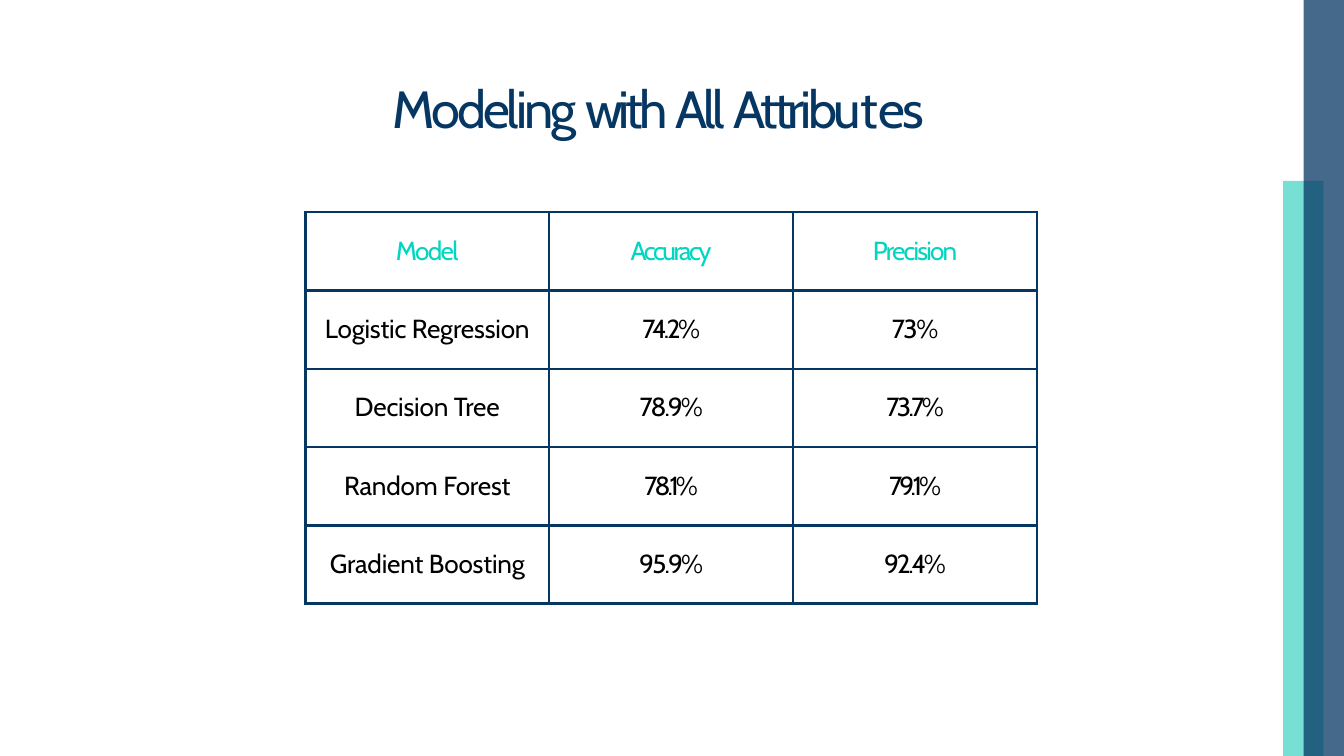
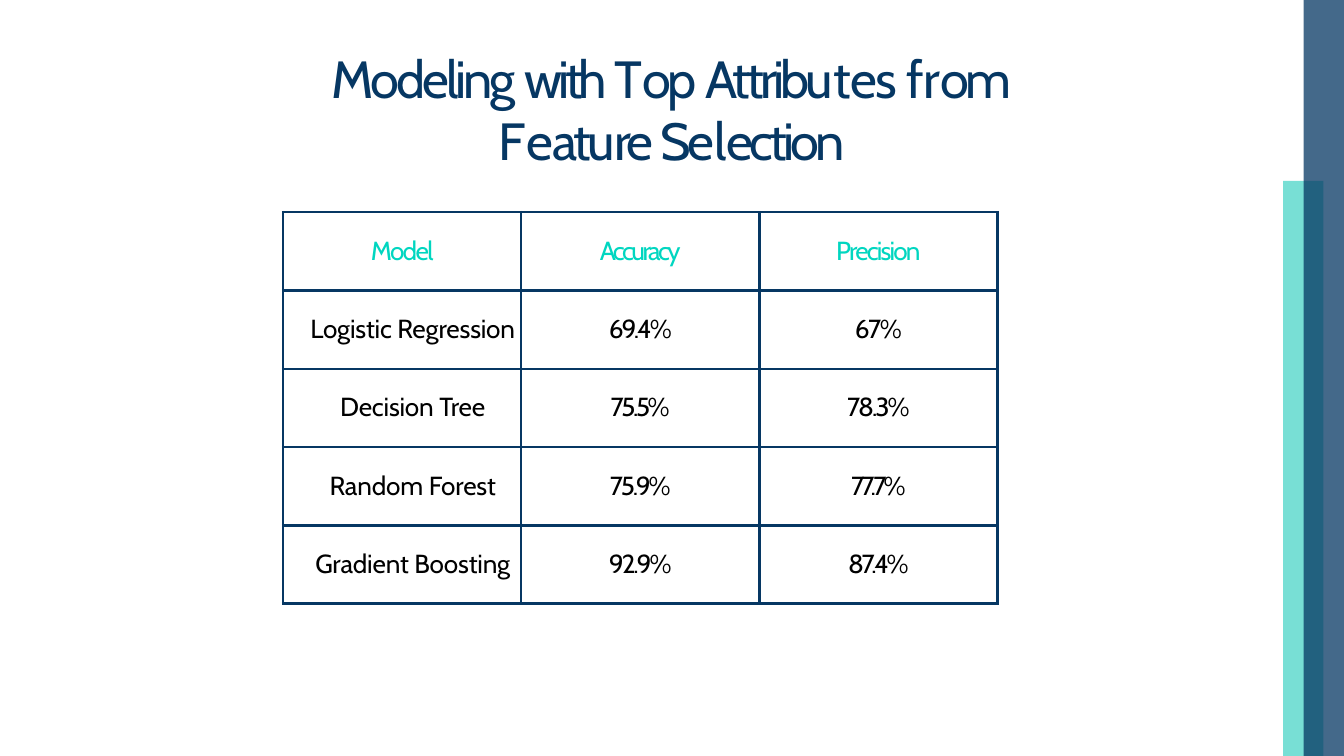
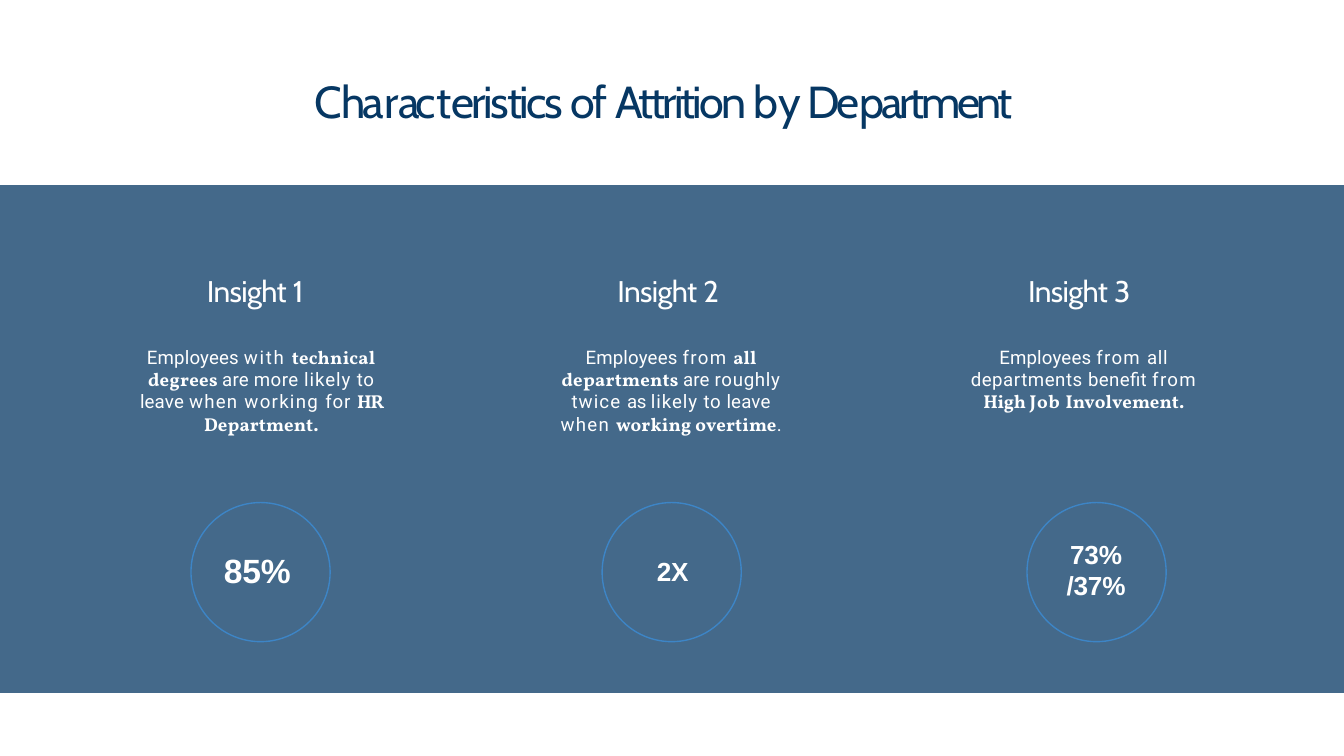
"""Build three slides on attrition models and insights by department."""
from dataclasses import dataclass
from typing import NamedTuple

import pptx
import pptx.dml.color
import pptx.enum.shapes
import pptx.enum.text
import pptx.oxml
import pptx.oxml.ns
import pptx.shapes.autoshape
import pptx.slide
import pptx.table
import pptx.text.text
import pptx.util

Cm = pptx.util.Cm
RGBColor = pptx.dml.color.RGBColor
Align = pptx.enum.text.PP_ALIGN
ShapeType = pptx.enum.shapes.MSO_SHAPE
qn = pptx.oxml.ns.qn

NAVY = RGBColor(0x06, 0x37, 0x63)
TEAL = RGBColor(0x00, 0xC3, 0xB1)
HEADER_TEAL = RGBColor(0x00, 0xD6, 0xC0)
RING_BLUE = RGBColor(0x3D, 0x85, 0xC6)
WHITE = RGBColor(0xFF, 0xFF, 0xFF)
BLACK = RGBColor(0x00, 0x00, 0x00)

SLIDE_WIDTH, SLIDE_HEIGHT = 25.4, 14.29
BORDER_POINTS = 1.5
ROW_HEIGHT = 1.48
TABLE_TOP = 4.01
LABEL_LEFT, LABEL_PITCH = 3.91, 7.76
RING_SIZE = 2.63


class Style(NamedTuple):
    """Font, size, colour and weight of a run."""
    font: str
    size: float
    color: RGBColor
    bold: bool = False


class Piece(NamedTuple):
    """Text of one run with its letter spacing in points."""
    text: str
    spacing: float = 0
    style: Style | None = None


class Box(NamedTuple):
    """Left, top, width and height in centimetres."""
    left: float
    top: float
    width: float
    height: float


class Score(NamedTuple):
    """Value of a table cell with its letter spacing."""
    text: str
    spacing: float


@dataclass(frozen=True)
class Title:
    """Slide title, with an optional hanging indent."""
    box: Box
    size: float
    pieces: list[Piece]
    hanging: float = 0


@dataclass(frozen=True)
class ModelTable:
    """Scores of the models, one row for each model."""
    left: float
    column_width: float
    name_margin: float
    scores: list[tuple[Score, Score]]


@dataclass(frozen=True)
class Insight:
    """Numbered insight with its description and ringed figure."""
    number: Piece
    description_box: Box
    description: list[Piece]
    ring_left: float
    figure_box: Box
    figure_size: float
    figure_lines: list[str]
    line_spacing: float | None = None


BODY = Style("Roboto", 10, WHITE)
STRONG = Style("Vollkorn", 10, WHITE, True)
LABEL = Style("Cabin", 16, WHITE)
HEADER = Style("Cabin", 14, HEADER_TEAL)
CELL = Style("Cabin", 14, BLACK)

HEADERS = [Score("Model", -0.9), Score("Accuracy", -1.4), Score("Precision", -1)]
MODELS = ["Logistic Regression", "Decision Tree", "Random Forest", "Gradient Boosting"]

ALL_ATTRIBUTES_TITLE = Title(Box(7.42, 1.42, 10.54, 1.24), 28, [
    Piece("Modeling ", -1.6), Piece("with ", -2.2), Piece("All ", -1.8),
    Piece("Attribu", -2), Piece("t", -2.3), Piece("es", -1.2),
])
TOP_ATTRIBUTES_TITLE = Title(Box(6.27, 0.84, 12.88, 2.44), 28, [
    Piece("Modeling ", -1.6), Piece("with ", -2.2), Piece("T", -5.5), Piece("op ", -1.6),
    Piece("Attribu", -2), Piece("t", -2.3), Piece("es ", -1.2),
    Piece("f", -1.8), Piece("r", -2.6), Piece("om", -1.8), Piece(" ", 3),
    Piece("F", -4.5), Piece("e", -2.5), Piece("atu", -2.1), Piece("re ", -2.4),
    Piece("Se", -1.6), Piece("l", -1.1), Piece("ection", -2),
], hanging=3.16)
DEPARTMENT_TITLE = Title(Box(5.94, 1.37, 13.54, 1.09), 24, [
    Piece("C", -3.2), Piece("ha", -1.8), Piece("r", -1.9), Piece("ac", -2.2),
    Piece("t", -2.1), Piece("eristics ", -1.3), Piece("of ", -1.4),
    Piece("Attrition ", -1.6), Piece("b", -1.7), Piece("y ", -1.5),
    Piece("De", -1.8), Piece("partment", -1.9),
])

ALL_ATTRIBUTES_TABLE = ModelTable(5.77, 4.61, 0, [
    (Score("74.2%", -1.3), Score("73%", -0.8)),
    (Score("78.9%", -1.1), Score("73.7%", -1.4)),
    (Score("78.1%", -1.6), Score("79.1%", -1.6)),
    (Score("95.9%", -1), Score("92.4%", -1.2)),
])
TOP_ATTRIBUTES_TABLE = ModelTable(5.35, 4.5, 0.4, [
    (Score("69.4%", -1.1), Score("67%", -0.7)),
    (Score("75.5%", -1.3), Score("78.3%", -1.1)),
    (Score("75.9%", -1.2), Score("77.7%", -1.5)),
    (Score("92.9%", -1.1), Score("87.4%", -1.3)),
])

INSIGHTS = [
    Insight(
        Piece("1", -1.9), Box(2.64, 6.5, 4.6, 1.75), [
            Piece("Employees ", 0.1), Piece("with ", 0.9),
            Piece("technical degrees ", 0.2, STRONG), Piece("are ", 0.1),
            Piece("more ", 0.3), Piece("likely ", 0.5), Piece("to ", 0.3),
            Piece("leave ", 0.1), Piece("when working ", 0.7), Piece("for ", 0.5),
            Piece("HR ", -0.5, STRONG), Piece("Department.", 0.1, STRONG),
        ], 3.61, Box(4.19, 10.36, 1.35, 0.84), 18, ["85%"]),
    Insight(
        Piece("2", -1.1), Box(10.59, 6.5, 4.19, 1.75), [
            Piece("Employees ", 0.1), Piece("from ", 0.7), Piece("all ", 0.1, STRONG),
            Piece("departments ", 0.2, STRONG), Piece("are ", 0.1),
            Piece("roughly", 0.4), Piece(" ", 3.3), Piece("twice ", 0.6),
            Piece("as ", -0.1), Piece("likely ", 0.5), Piece("to ", 0.3),
            Piece("leave", 0.1), Piece(" ", 3), Piece("when ", 0.7),
            Piece("working overtime", 0.1, STRONG), Piece(".", 0.1),
        ], 11.38, Box(12.37, 10.46, 0.69, 0.66), 14, ["2X"]),
    Insight(
        Piece("3", -1), Box(18.34, 6.5, 4.29, 1.35), [
            Piece("Employees ", 0.1), Piece("from ", 0.7), Piece("all ", 0.4),
            Piece("departments ", 0.3), Piece("beneﬁt ", 0.2),
            Piece("from", 0.7), Piece(" ", 3.6), Piece("High ", -0.1, STRONG),
            Piece("Job ", 0.5, STRONG), Piece("Involvement.", 0.1, STRONG),
        ], 19.41, Box(20.12, 10.16, 1.19, 1.24), 14, ["73%", "/37%"], 16.6),
]


def add_pieces(paragraph: pptx.text.text._Paragraph, pieces: list[Piece], style: Style) -> None:
    """Add the runs of a paragraph, in the given style unless a piece has its own."""
    for piece in pieces:
        run = paragraph.add_run()
        run.text = piece.text
        run_style = piece.style or style
        run.font.name = run_style.font
        run.font.size = pptx.util.Pt(run_style.size)
        run.font.bold = run_style.bold
        run.font.color.rgb = run_style.color
        run._r.get_or_add_rPr().set("spc", str(round(piece.spacing * 100)))


def add_text(slide: pptx.slide.Slide, box: Box, lines: list[list[Piece]], style: Style,
             alignment: Align = Align.LEFT,
             line_spacing: float | None = None) -> pptx.text.text.TextFrame:
    """Add a text box with one paragraph for each line."""
    text_frame = slide.shapes.add_textbox(*map(Cm, box)).text_frame
    text_frame.word_wrap = True
    text_frame.auto_size = pptx.enum.text.MSO_AUTO_SIZE.SHAPE_TO_FIT_TEXT
    text_frame.margin_left = text_frame.margin_right = text_frame.margin_bottom = 0
    text_frame.margin_top = Cm(0.03)
    for index, pieces in enumerate(lines):
        paragraph = text_frame.add_paragraph() if index else text_frame.paragraphs[0]
        paragraph.alignment = alignment
        if line_spacing:
            paragraph.line_spacing = pptx.util.Pt(line_spacing)
        add_pieces(paragraph, pieces, style)
    return text_frame


def add_title(slide: pptx.slide.Slide, title: Title) -> None:
    """Add the slide title."""
    text_frame = add_text(slide, title.box, [title.pieces], Style("Cabin", title.size, NAVY))
    if title.hanging:
        properties = text_frame.paragraphs[0]._p.get_or_add_pPr()
        properties.set("marL", str(Cm(title.hanging)))
        properties.set("indent", str(-Cm(title.hanging)))


def add_band(slide: pptx.slide.Slide, box: Box, color: RGBColor, opacity: int) -> None:
    """Add a translucent rectangle."""
    band = slide.shapes.add_shape(ShapeType.RECTANGLE, *map(Cm, box))
    band.shadow.inherit = False
    band.line.fill.background()
    band.fill.solid()
    band.fill.fore_color.rgb = color
    color_element = band.element.spPr.find(f"{qn('a:solidFill')}/{qn('a:srgbClr')}")
    alpha = color_element.makeelement(qn("a:alpha"), {"val": str(opacity * 1000)})
    color_element.append(alpha)


def add_side_bands(slide: pptx.slide.Slide) -> None:
    """Add the two overlapping bands at the right edge."""
    add_band(slide, Box(24.25, 3.42, 0.76, SLIDE_HEIGHT - 3.42), TEAL, 53)
    add_band(slide, Box(24.64, 0, 0.76, SLIDE_HEIGHT), NAVY, 75)


def set_borders(cell: pptx.table._Cell) -> None:
    """Draw a navy line on each side of a cell."""
    properties = cell._tc.get_or_add_tcPr()
    width = pptx.util.Pt(BORDER_POINTS)
    namespace = pptx.oxml.ns.nsdecls("a")
    for index, side in enumerate(("lnL", "lnR", "lnT", "lnB")):
        properties.insert(index, pptx.oxml.parse_xml(
            f'<a:{side} {namespace} w="{width}"><a:solidFill>'
            f'<a:srgbClr val="{NAVY}"/></a:solidFill></a:{side}>'))


def add_model_table(slide: pptx.slide.Slide, model_table: ModelTable) -> None:
    """Add the table of model scores."""
    rows = [HEADERS] + [[Score(name, -0.1), *scores]
                        for name, scores in zip(MODELS, model_table.scores)]
    row_count, column_count = len(rows), len(HEADERS)
    table = slide.shapes.add_table(
        row_count, column_count, Cm(model_table.left), Cm(TABLE_TOP),
        Cm(model_table.column_width * column_count), Cm(ROW_HEIGHT * row_count)).table
    table.first_row = table.horz_banding = False
    for column in table.columns:
        column.width = Cm(model_table.column_width)
    for row_index, scores in enumerate(rows):
        table.rows[row_index].height = Cm(ROW_HEIGHT)
        for column_index, score in enumerate(scores):
            cell = table.cell(row_index, column_index)
            is_model_name = row_index > 0 and column_index == 0
            cell.margin_left = Cm(model_table.name_margin if is_model_name else 0)
            cell.margin_right = cell.margin_bottom = 0
            cell.margin_top = Cm(0.43)
            cell.fill.background()
            set_borders(cell)
            paragraph = cell.text_frame.paragraphs[0]
            paragraph.alignment = Align.CENTER
            add_pieces(paragraph, [Piece(score.text, score.spacing)],
                       CELL if row_index else HEADER)


def add_insight(slide: pptx.slide.Slide, insight: Insight, position: int) -> None:
    """Add the label, description, ring and figure of an insight."""
    label_box = Box(LABEL_LEFT + position * LABEL_PITCH, 5.13, 2.06, 0.74)
    add_text(slide, label_box, [[Piece("Insight ", -0.3), insight.number]], LABEL)
    add_text(slide, insight.description_box, [insight.description], BODY, Align.CENTER)
    ring = slide.shapes.add_shape(ShapeType.OVAL, Cm(insight.ring_left), Cm(9.5),
                                  Cm(RING_SIZE), Cm(RING_SIZE))
    ring.shadow.inherit = False
    ring.fill.background()
    ring.line.color.rgb = RING_BLUE
    ring.line.width = pptx.util.Pt(0.75)
    add_text(slide, insight.figure_box,
             [[Piece(line, -0.1)] for line in insight.figure_lines],
             Style("Arial", insight.figure_size, WHITE, True),
             Align.CENTER, insight.line_spacing)


def main() -> None:
    """Build and save the presentation."""
    presentation = pptx.Presentation()
    presentation.slide_width = Cm(SLIDE_WIDTH)
    presentation.slide_height = Cm(SLIDE_HEIGHT)
    blank_layout = presentation.slide_layouts[6]

    for title, model_table in ((ALL_ATTRIBUTES_TITLE, ALL_ATTRIBUTES_TABLE),
                               (TOP_ATTRIBUTES_TITLE, TOP_ATTRIBUTES_TABLE)):
        slide = presentation.slides.add_slide(blank_layout)
        add_side_bands(slide)
        add_title(slide, title)
        add_model_table(slide, model_table)

    slide = presentation.slides.add_slide(blank_layout)
    add_band(slide, Box(0, 3.5, SLIDE_WIDTH, 9.6), NAVY, 75)
    add_title(slide, DEPARTMENT_TITLE)
    for position, insight in enumerate(INSIGHTS):
        add_insight(slide, insight, position)

    presentation.save("out.pptx")


if __name__ == "__main__":
    main()
